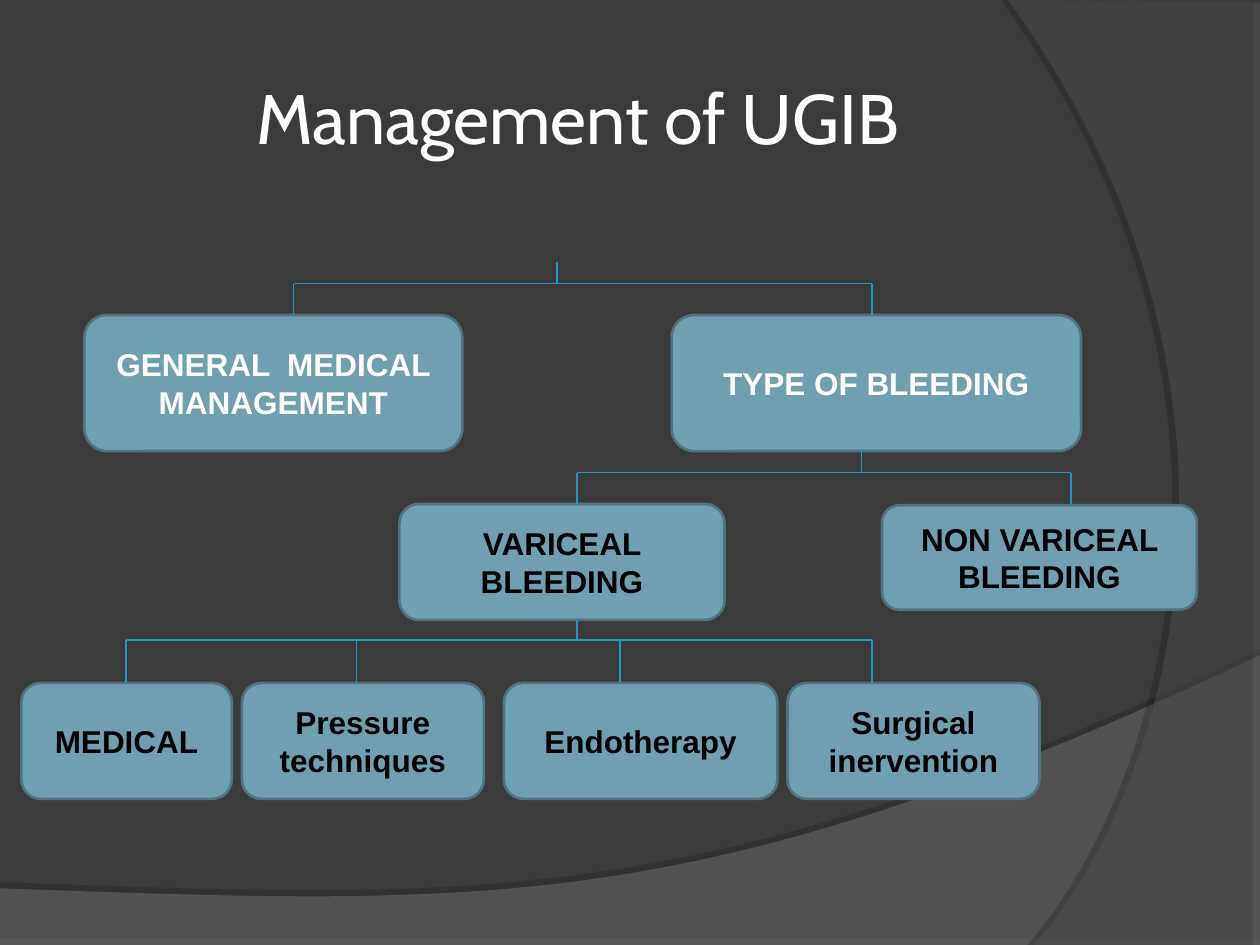
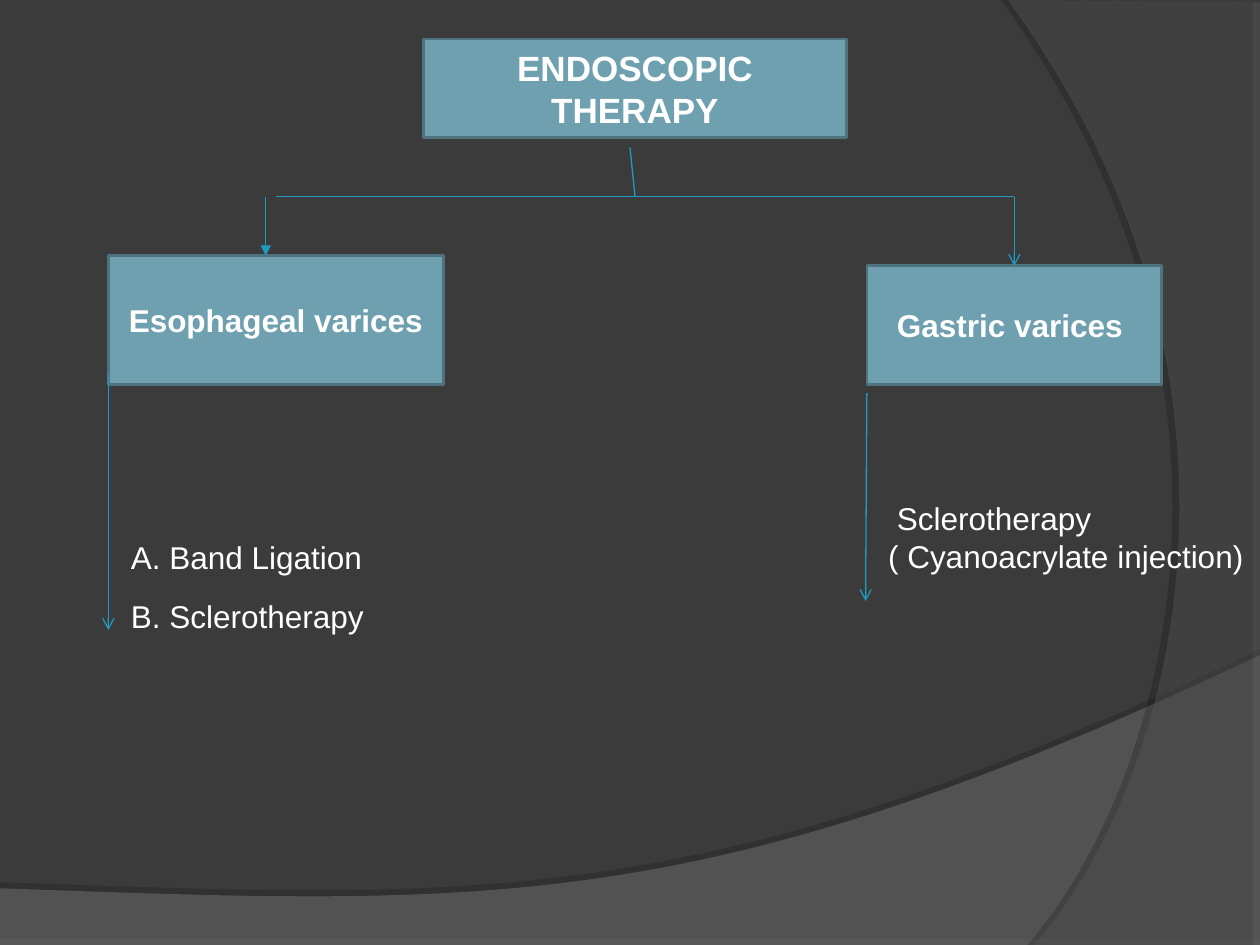
from pptx import Presentation
from pptx.dml.color import RGBColor
from pptx.enum.shapes import MSO_CONNECTOR, MSO_SHAPE
from pptx.enum.text import MSO_ANCHOR, MSO_AUTO_SIZE, PP_ALIGN
from pptx.oxml.ns import qn
from pptx.util import Inches, Pt
from lxml.etree import SubElement

# Shared look
BACKGROUND = RGBColor(0x3B, 0x3B, 0x3B)
LOWER_BAND = RGBColor(0x7C, 0x7C, 0x7C)
RIGHT_BAND = RGBColor(0x59, 0x59, 0x59)
BOX_FILL = RGBColor(0x6E, 0xA0, 0xB0)
BOX_EDGE = RGBColor(0x4F, 0x74, 0x80)
BRANCH = RGBColor(0x21, 0x9A, 0xC1)
WHITE = RGBColor(0xFF, 0xFF, 0xFF)
BLACK = RGBColor(0, 0, 0)
TITLE_FONT, TEXT_FONT = "Cabin", "Arial"

# Bands: corners before the curve, four Bezier points, colour, opacity %,
# then shadow opacity %, distance in points, direction in degrees
BANDS = [
    ([(0, 7.5), (10, 7.5)], [(10, 5.2), (5.59, 7.29), (3.91, 7.19), (0, 7.05)],
     LOWER_BAND, 45, (35, 3.5, 270)),
    ([(10, 0.02), (10, 7.5)], [(8.21, 7.5), (9.35, 6.19), (10.18, 3), (8, 0)],
     RIGHT_BAND, 40, (45, 4, 180)),
]
CURVE_STEPS = 48

# Slide 1: text, (left, top, width, height), text colour
MANAGEMENT_TITLE = "Management of UGIB"
MANAGEMENT_BOXES = [
    ("GENERAL  MEDICAL MANAGEMENT", (0.67, 2.5, 3, 1.08), WHITE),
    ("TYPE OF BLEEDING", (5.33, 2.5, 3.25, 1.08), WHITE),
    ("VARICEAL BLEEDING", (3.17, 4, 2.58, 0.92), BLACK),
    ("NON VARICEAL BLEEDING", (7, 4.01, 2.5, 0.83), BLACK),
    ("MEDICAL", (0.17, 5.42, 1.67, 0.92), BLACK),
    ("Pressure techniques", (1.92, 5.42, 1.92, 0.92), BLACK),
    ("Endotherapy", (4, 5.42, 2.17, 0.92), BLACK),
    ("Surgical inervention", (6.25, 5.42, 2, 0.92), BLACK),
]
# Stem x, stem top, bar height, foot of the drops, x of each drop
MANAGEMENT_BRANCHES = [
    (4.42, 2.08, 2.25, 2.5, [2.33, 6.92]),
    (6.84, 3.58, 3.75, 4, [4.58, 8.5]),
    (4.58, 4.92, 5.08, 5.42, [1, 2.83, 4.92, 6.92]),
]

# Slide 2: text, place, text size
THERAPY_BOXES = [
    ("ENDOSCOPIC THERAPY", (3.36, 0.31, 3.36, 0.78), 20),
    ("Esophageal varices", (0.86, 2.03, 2.66, 1.02), 18),
    ("Gastric varices ", (6.88, 2.11, 2.34, 0.94), 18),
]
# From, to, arrowhead
THERAPY_LINES = [
    ((5, 1.17), (5.04, 1.56), None),
    ((5.39, 1.56), (8.05, 1.56), None),
    ((5.39, 1.56), (2.19, 1.56), None),
    ((2.11, 1.56), (2.11, 2.03), "triangle"),
    ((8.05, 1.56), (8.05, 2.11), "arrow"),
    ((0.86, 2.97), (0.86, 5), "arrow"),
    ((6.88, 3.12), (6.87, 4.77), "arrow"),
]
TREATMENTS = [
    (["A. Band Ligation"], (0.94, 4.22, 2.19, 0.4)),
    (["B. Sclerotherapy"], (0.94, 4.69, 2.42, 0.4)),
    ([" Sclerotherapy", "( Cyanoacrylate injection)"], (6.95, 3.91, 3.05, 0.7)),
]


def inches(values):
    return [Inches(value) for value in values]


def write(paragraph, text, size, color, font=TEXT_FONT, bold=False):
    run = paragraph.add_run()
    run.text = text
    run.font.name, run.font.size, run.font.bold = font, Pt(size), bold
    run.font.color.rgb = color


def curve(points):
    """Points along a cubic Bezier curve."""
    for step in range(CURVE_STEPS + 1):
        t = step / CURVE_STEPS
        weights = ((1 - t) ** 3, 3 * t * (1 - t) ** 2, 3 * t * t * (1 - t), t ** 3)
        yield tuple(sum(w * p[axis] for w, p in zip(weights, points)) for axis in (0, 1))


def add_band(slide, master, position, corners, bend, color, opacity, shadow):
    """Draw a band and move it behind everything on the master."""
    outline = [inches(point) for point in [*corners, *curve(bend)]]
    builder = slide.shapes.build_freeform(*outline[0], scale=1.0)
    builder.add_line_segments(outline[1:], close=True)
    band = builder.convert_to_shape()
    band.fill.solid()
    band.fill.fore_color.rgb = color
    band.line.fill.background()
    band.shadow.inherit = False
    properties = band.element.spPr
    fill_color = properties.find(qn("a:solidFill"))[0]
    SubElement(fill_color, qn("a:alpha"), val=str(opacity * 1000))
    shade, distance, direction = shadow
    outer = SubElement(properties.find(qn("a:effectLst")), qn("a:outerShdw"),
                       blurRad="0", dist=str(Pt(distance)),
                       dir=str(direction * 60000), algn="ctr", rotWithShape="0")
    shadow_color = SubElement(outer, qn("a:srgbClr"), val=str(BLACK))
    SubElement(shadow_color, qn("a:alpha"), val=str(shade * 1000))
    master.element.cSld.spTree.insert(2 + position, band.element)


def add_box(slide, kind, text, place, color, size=18):
    box = slide.shapes.add_shape(kind, *inches(place))
    box.shadow.inherit = False
    box.fill.solid()
    box.fill.fore_color.rgb = BOX_FILL
    box.line.color.rgb = BOX_EDGE
    box.line.width = Pt(1.5)
    frame = box.text_frame
    frame.word_wrap = True
    frame.vertical_anchor = MSO_ANCHOR.MIDDLE
    frame.paragraphs[0].alignment = PP_ALIGN.CENTER
    write(frame.paragraphs[0], text, size, color, bold=True)


def add_line(slide, start, end, head=None):
    line = slide.shapes.add_connector(MSO_CONNECTOR.STRAIGHT, *inches(start + end))
    line.line.color.rgb = BRANCH
    line.line.width = Pt(0.75)
    properties = line.element.spPr
    if head:
        SubElement(properties.find(qn("a:ln")), qn("a:tailEnd"), type=head)
    SubElement(properties, qn("a:effectLst"))


def add_branch(slide, stem, top, bar, foot, drops):
    add_line(slide, (stem, top), (stem, bar))
    add_line(slide, (drops[0], bar), (drops[-1], bar))
    for drop in drops:
        add_line(slide, (drop, bar), (drop, foot))


def add_treatment(slide, lines, place):
    note = slide.shapes.add_textbox(*inches(place))
    frame = note.text_frame
    frame.word_wrap = True
    frame.auto_size = MSO_AUTO_SIZE.SHAPE_TO_FIT_TEXT
    for number, text in enumerate(lines):
        paragraph = frame.add_paragraph() if number else frame.paragraphs[0]
        write(paragraph, text, 18, WHITE)


def add_title(slide, text):
    title = slide.shapes.title
    title.left, title.top, title.width, title.height = inches((0.5, 0.3, 8.17, 1.25))
    frame = title.text_frame
    frame.margin_left = frame.margin_right = Inches(0.05)
    frame.vertical_anchor = MSO_ANCHOR.MIDDLE
    frame.paragraphs[0].alignment = PP_ALIGN.CENTER
    write(frame.paragraphs[0], text, 40, WHITE, TITLE_FONT)


def main():
    deck = Presentation()
    deck.slide_width, deck.slide_height = Inches(10), Inches(7.5)
    title_only, blank = deck.slide_layouts[5], deck.slide_layouts[6]
    management = deck.slides.add_slide(title_only)
    therapy = deck.slides.add_slide(blank)

    # Background and bands on the master
    master = deck.slide_master
    master.background.fill.solid()
    master.background.fill.fore_color.rgb = BACKGROUND
    for position, band in enumerate(BANDS):
        add_band(management, master, position, *band)

    # Management tree
    add_title(management, MANAGEMENT_TITLE)
    for text, place, color in MANAGEMENT_BOXES:
        add_box(management, MSO_SHAPE.ROUNDED_RECTANGLE, text, place, color)
    for branch in MANAGEMENT_BRANCHES:
        add_branch(management, *branch)

    # Endoscopic therapy
    for text, place, size in THERAPY_BOXES:
        add_box(therapy, MSO_SHAPE.RECTANGLE, text, place, WHITE, size)
    for line in THERAPY_LINES:
        add_line(therapy, *line)
    for treatment in TREATMENTS:
        add_treatment(therapy, *treatment)

    deck.save("out.pptx")


if __name__ == "__main__":
    main()
